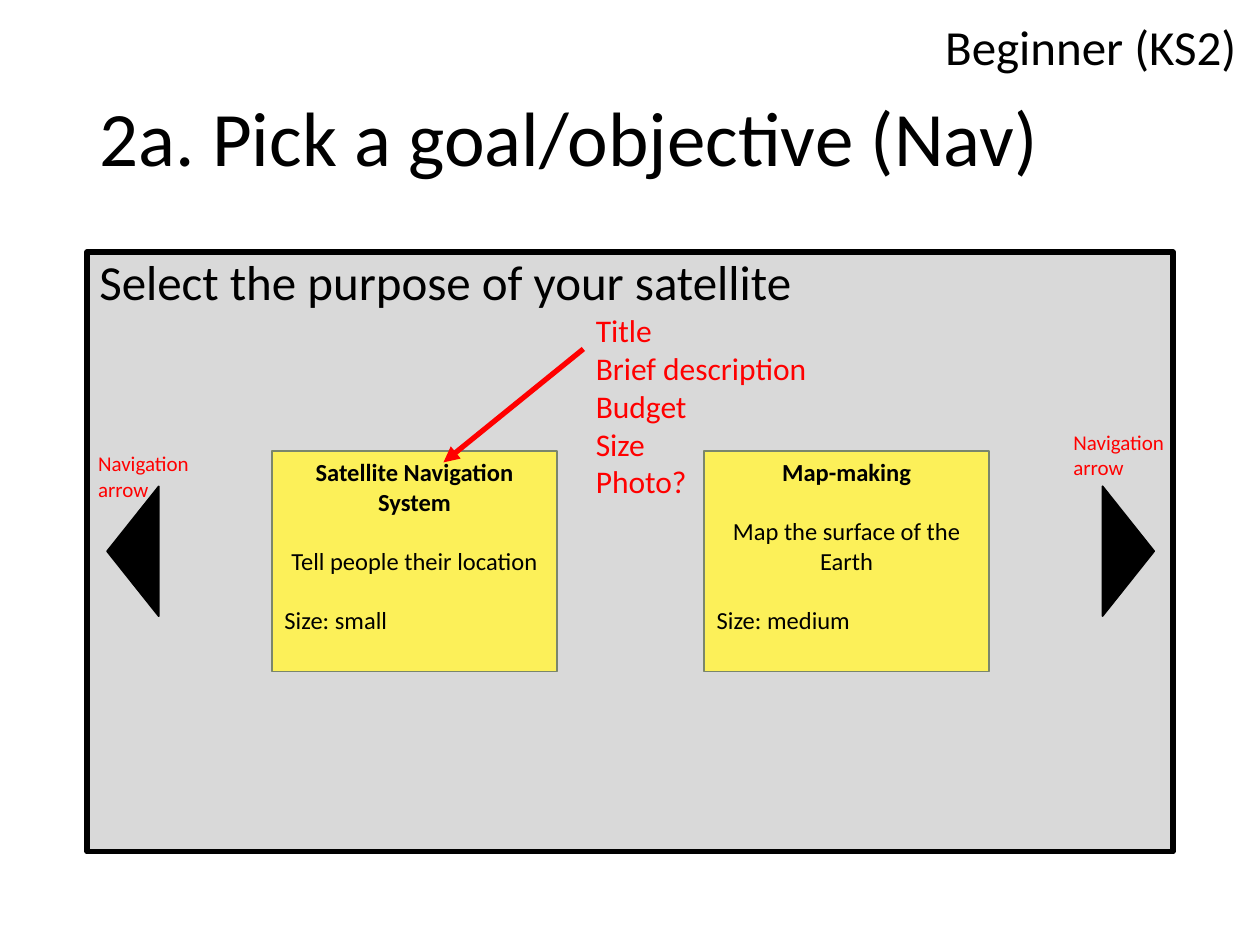
from lxml import etree
from pptx import Presentation
from pptx.dml.color import RGBColor
from pptx.enum.shapes import MSO_CONNECTOR, MSO_SHAPE
from pptx.enum.text import MSO_ANCHOR, MSO_AUTO_SIZE, PP_ALIGN
from pptx.oxml.ns import qn
from pptx.util import Inches, Pt

BLACK = RGBColor(0x00, 0x00, 0x00)
RED = RGBColor(0xFF, 0x00, 0x00)
GREY = RGBColor(0xD9, 0xD9, 0xD9)
YELLOW = RGBColor(0xFC, 0xF0, 0x59)
OLIVE = RGBColor(0x7A, 0x86, 0x6C)

COLUMNS, ROWS = 100, 75
TITLE_ONLY = 5
CARD_TOP, CARD_WIDTH, CARD_HEIGHT = 35.8, 22.6, 17.5
CARD_GAP = 17  # one blank line of card text, in points


def set_all(target, values):
    for name, value in values.items():
        setattr(target, name, value)


class SlideBuilder:
    """Draws on one slide; lengths are columns and rows of the grid."""

    font_name = "Calibri"

    def __init__(self, presentation):
        self.column = presentation.slide_width / COLUMNS
        self.row = presentation.slide_height / ROWS
        self.slide = presentation.slides.add_slide(
            presentation.slide_layouts[TITLE_ONLY])

    def place(self, left, top, width, height):
        return (round(left * self.column), round(top * self.row),
                round(width * self.column), round(height * self.row))

    def fill_text(self, shape, lines, size, color=BLACK,
                  anchor=MSO_ANCHOR.TOP, **shared):
        """Fill a shape with lines, each a (text, format values) pair."""
        frame = shape.text_frame
        set_all(frame, {"word_wrap": True, "auto_size": MSO_AUTO_SIZE.NONE,
                        "vertical_anchor": anchor})
        for index, (text, own) in enumerate(lines):
            paragraph = frame.paragraphs[0] if index == 0 else frame.add_paragraph()
            values = {"alignment": PP_ALIGN.LEFT, **shared, **own}
            bold = values.pop("bold", False)
            set_all(paragraph, values)
            run = paragraph.add_run()
            run.text = text
            set_all(run.font, {"name": self.font_name, "size": Pt(size), "bold": bold})
            run.font.color.rgb = color

    def title(self, area, text):
        shape = self.slide.shapes.title
        names = ("left", "top", "width", "height")
        set_all(shape, dict(zip(names, self.place(*area))))
        self.fill_text(shape, [(text, {})], 44, anchor=MSO_ANCHOR.MIDDLE,
                       line_spacing=0.9)

    def text(self, area, lines, size, color=BLACK, **shared):
        shape = self.slide.shapes.add_textbox(*self.place(*area))
        self.fill_text(shape, [(line, {}) for line in lines], size, color, **shared)

    def shape(self, kind, area, fill, line, line_width=1, rotation=0):
        shape = self.slide.shapes.add_shape(kind, *self.place(*area))
        shape.shadow.inherit = False
        shape.rotation = rotation
        shape.fill.solid()
        shape.fill.fore_color.rgb = fill
        shape.line.color.rgb = line
        shape.line.width = Pt(line_width)
        return shape

    def panel(self, area, heading):
        shape = self.shape(MSO_SHAPE.RECTANGLE, area, GREY, BLACK, 3)
        self.fill_text(shape, [(heading, {})], 28, line_spacing=0.9)

    def card(self, left, heading, description, size_note):
        shape = self.shape(MSO_SHAPE.RECTANGLE,
                           (left, CARD_TOP, CARD_WIDTH, CARD_HEIGHT), YELLOW, OLIVE)
        gap = {"space_before": Pt(CARD_GAP)}
        centred = {"alignment": PP_ALIGN.CENTER}
        self.fill_text(shape, [(heading, {**centred, "bold": True}),
                               (description, {**centred, **gap}),
                               (size_note, gap)], 14)

    def arrow(self, start, end):
        points = self.place(*start, *end)
        connector = self.slide.shapes.add_connector(MSO_CONNECTOR.STRAIGHT, *points)
        connector.line.color.rgb = RED
        connector.line.width = Pt(3)
        etree.SubElement(connector.get_or_add_ln(), qn("a:tailEnd"), type="triangle")
        etree.SubElement(connector.element.spPr, qn("a:effectLst"))


def main():
    presentation = Presentation()
    set_all(presentation, {"slide_width": Inches(10), "slide_height": Inches(7.5)})
    builder = SlideBuilder(presentation)

    builder.text((69.5, 0.8, 29.6, 5.7), ["Beginner (KS2)"], 28,
                 alignment=PP_ALIGN.RIGHT)
    builder.title((6.9, 4, 86.2, 14.5), "2a. Pick a goal/objective (Nav)")
    builder.panel((6.9, 20, 86.2, 47.6), "Select the purpose of your satellite")

    builder.card(55.9, "Map-making", "Map the surface of the Earth", "Size: medium")
    builder.card(21.6, "Satellite Navigation System",
                 "Tell people their location", "Size: small")
    for left, rotation in ((84.4, 90), (5.4, 270)):
        builder.shape(MSO_SHAPE.ISOSCELES_TRIANGLE, (left, 41.7, 10.3, 4.1),
                      BLACK, BLACK, rotation=rotation)

    builder.arrow((46.3, 27.7), (35.2, 36.7))
    builder.text((46.3, 24.2, 20.2, 16.2),
                 ["Title", "Brief description", "Budget", "Size", "Photo?"], 18, RED)
    for left, top, width in ((84.2, 33.6, 9.9), (6.8, 35.3, 9.4)):
        builder.text((left, top, width, 5), ["Navigation arrow"], 12, RED)

    presentation.save("out.pptx")


if __name__ == "__main__":
    main()
